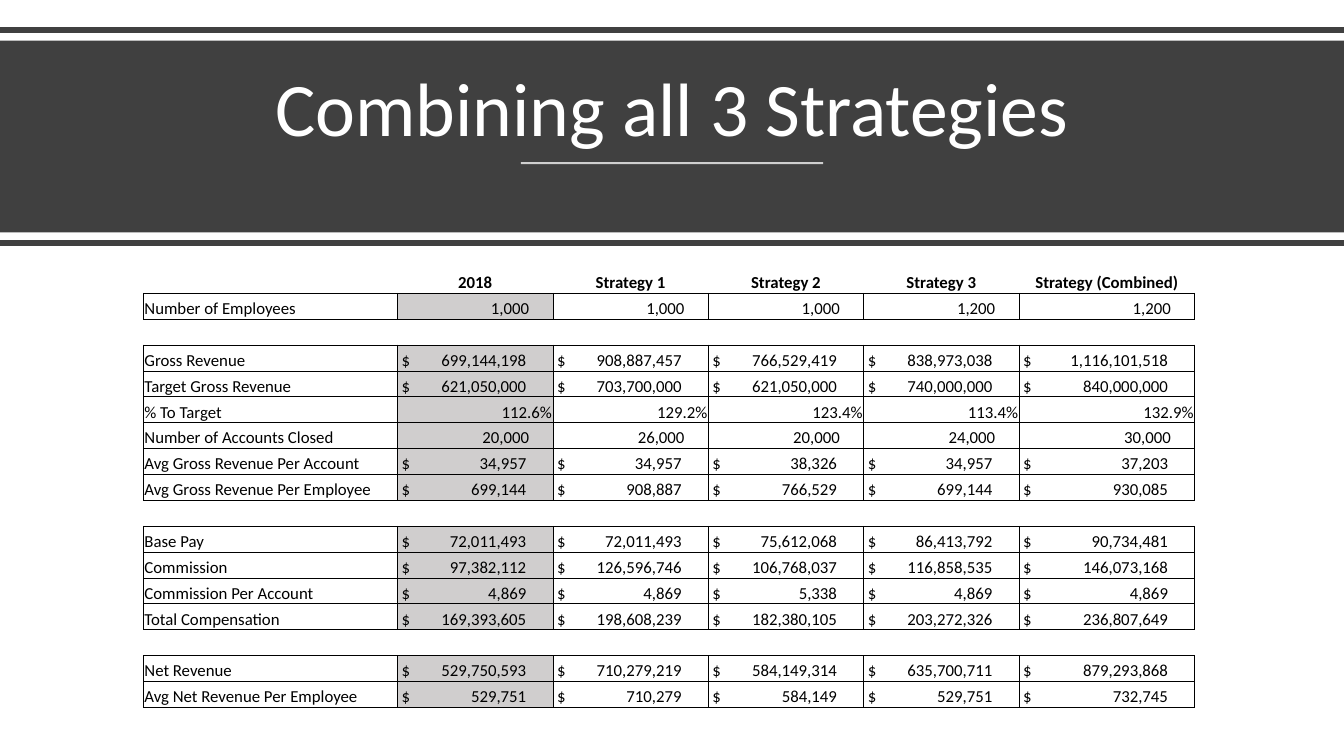
from lxml.etree import SubElement
from pptx import Presentation
from pptx.dml.color import RGBColor
from pptx.enum.shapes import MSO_CONNECTOR as Connector, MSO_SHAPE as Shape
from pptx.enum.text import MSO_ANCHOR as Anchor, PP_ALIGN as Align
from pptx.oxml.ns import qn
from pptx.util import Pt

FONT = "Calibri"
DARK, WHITE, BLACK, GREY = "404040", "FFFFFF", "000000", "D0CECE"
PLAIN_TABLE = "{2D5ABB26-0587-4C30-8999-92F81FD0307C}"
COLUMN_WIDTHS = [181.5, 111, 111, 111, 111, 125.5]
ROW_HEIGHT = 18.5

HEADINGS = ["", "2018", "Strategy 1", "Strategy 2", "Strategy 3", "Strategy (Combined)"]
# Each group is followed by an empty row; each line is label, kind, values.
GROUPS = [
    [("Number of Employees", "count", "1,000 1,000 1,000 1,200 1,200")],
    [
        ("Gross Revenue", "money", "699,144,198 908,887,457 766,529,419 838,973,038 1,116,101,518"),
        ("Target Gross Revenue", "money", "621,050,000 703,700,000 621,050,000 740,000,000 840,000,000"),
        ("% To Target", "percent", "112.6% 129.2% 123.4% 113.4% 132.9%"),
        ("Number of Accounts Closed", "count", "20,000 26,000 20,000 24,000 30,000"),
        ("Avg Gross Revenue Per Account", "money", "34,957 34,957 38,326 34,957 37,203"),
        ("Avg Gross Revenue Per Employee", "money", "699,144 908,887 766,529 699,144 930,085"),
    ],
    [
        ("Base Pay", "money", "72,011,493 72,011,493 75,612,068 86,413,792 90,734,481"),
        ("Commission", "money", "97,382,112 126,596,746 106,768,037 116,858,535 146,073,168"),
        ("Commission Per Account", "money", "4,869 4,869 5,338 4,869 4,869"),
        ("Total Compensation", "money", "169,393,605 198,608,239 182,380,105 203,272,326 236,807,649"),
    ],
    [
        ("Net Revenue", "money", "529,750,593 710,279,219 584,149,314 635,700,711 879,293,868"),
        ("Avg Net Revenue Per Employee", "money", "529,751 710,279 584,149 529,751 732,745"),
    ],
]


def rgb(hex_color):
    return RGBColor.from_string(hex_color)


def write(frame, text, size=12, color=BLACK, bold=False, align=Align.LEFT, spacing=None):
    paragraph = frame.paragraphs[0]
    paragraph.alignment = align
    if spacing:
        paragraph.line_spacing = spacing
    if not text:
        # Keeps an empty row as low as the others.
        SubElement(paragraph._p, qn("a:endParaRPr"), sz=str(size * 100))
        return paragraph
    run = paragraph.add_run()
    run.text = text
    run.font.name, run.font.size, run.font.bold = FONT, Pt(size), bold
    run.font.color.rgb = rgb(color)
    return paragraph


def add_rule(slide, left, right, y, color, weight, opacity=None):
    rule = slide.shapes.add_connector(Connector.STRAIGHT, Pt(left), Pt(y), Pt(right), Pt(y))
    rule.line.color.rgb = rgb(color)
    rule.line.width = Pt(weight)
    if opacity:
        tint = rule.line._ln.find(".//" + qn("a:srgbClr"))
        SubElement(tint, qn("a:alpha"), val=str(opacity * 1000))
    SubElement(rule._element.spPr, qn("a:effectLst"))


def add_banner(slide, heading, left, top, width, height):
    """Dark band between two rules, with the underlined title inside."""
    right, middle = left + width, left + width / 2
    add_rule(slide, left, right, top, DARK, 4)
    band = slide.shapes.add_shape(Shape.RECTANGLE, Pt(left), Pt(top + 7.5), Pt(width), Pt(height - 15))
    band.shadow.inherit = False
    band.fill.solid()
    band.fill.fore_color.rgb = rgb(DARK)
    band.line.fill.background()

    title = slide.shapes.title
    title.left, title.top = Pt(left + 41.5), Pt(top + 17.5)
    title.width, title.height = Pt(width - 83), Pt(73.5)
    title.text_frame.vertical_anchor = Anchor.BOTTOM
    write(title.text_frame, heading, size=54, color=WHITE, align=Align.CENTER, spacing=0.9)
    # The band comes later than the placeholder, so the title is lifted above it.
    slide.shapes._spTree.append(title._element)

    add_rule(slide, middle - 108, middle + 108, top + 95, WHITE, 1.5, opacity=75)
    add_rule(slide, left, right, top + height, DARK, 4)


def set_borders(cell, sides):
    for side in sides:
        border = SubElement(cell._tc.get_or_add_tcPr(), qn("a:ln" + side), w=str(Pt(0.5)))
        SubElement(SubElement(border, qn("a:solidFill")), qn("a:srgbClr"), val=BLACK)


def format_cell(cell, sides, fill=WHITE, left=0.7, right=0.7):
    set_borders(cell, sides)
    cell.fill.solid()
    cell.fill.fore_color.rgb = rgb(fill)
    cell.vertical_anchor = Anchor.BOTTOM
    cell.margin_left, cell.margin_right = Pt(left), Pt(right)
    cell.margin_top, cell.margin_bottom = Pt(0.7), 0


def fill_value(cell, value, kind, column):
    fill = GREY if column == 1 else WHITE
    if kind == "money":
        format_cell(cell, "LRTB", fill, left=3)
        paragraph = write(cell.text_frame, "$\t" + value)
        stops = SubElement(paragraph._p.get_or_add_pPr(), qn("a:tabLst"))
        SubElement(stops, qn("a:tab"), pos=str(Pt(COLUMN_WIDTHS[column] - 22)), algn="r")
    else:
        format_cell(cell, "LRTB", fill, right=17 if kind == "count" else 0.7)
        write(cell.text_frame, value, align=Align.RIGHT)


def add_comparison(slide, left, top):
    row_count = sum(len(group) + 1 for group in GROUPS)
    frame = slide.shapes.add_table(row_count, len(HEADINGS), Pt(left), Pt(top),
                                   Pt(sum(COLUMN_WIDTHS)), Pt(ROW_HEIGHT * row_count))
    table = frame.table
    table.first_row = table.horz_banding = False
    table._tbl.tblPr.find(qn("a:tableStyleId")).text = PLAIN_TABLE
    for column, width in zip(table.columns, COLUMN_WIDTHS):
        column.width = Pt(width)
    for row in table.rows:
        row.height = Pt(ROW_HEIGHT)

    row = 0
    for group in GROUPS:
        for column, heading in enumerate(HEADINGS):
            cell = table.cell(row, column)
            format_cell(cell, "TB" if row else "B")
            write(cell.text_frame, "" if row else heading, bold=True, align=Align.CENTER)
        for row, (label, kind, values) in enumerate(group, row + 1):
            label_cell = table.cell(row, 0)
            format_cell(label_cell, "LRTB")
            write(label_cell.text_frame, label)
            for column, value in enumerate(values.split(), 1):
                fill_value(table.cell(row, column), value, kind, column)
        row += 1


def main():
    deck = Presentation()
    deck.slide_width, deck.slide_height = Pt(960), Pt(540)
    slide = deck.slides.add_slide(deck.slide_layouts[5])
    add_banner(slide, "Combining all 3 Strategies", 0, 21.5, 960, 152)
    add_comparison(slide, 102.5, 191)
    deck.save("out.pptx")


if __name__ == "__main__":
    main()
